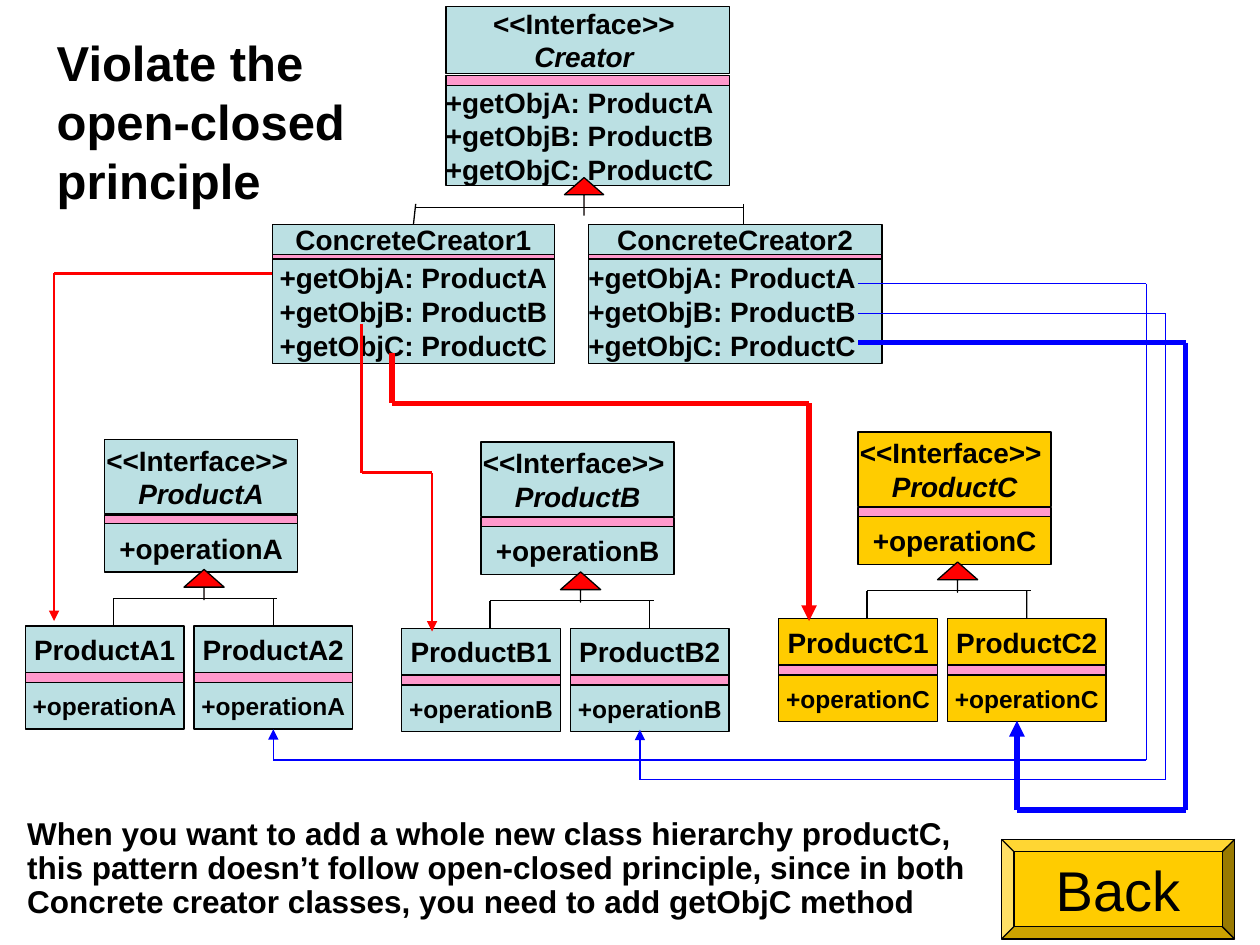
"""Build the slide on how a factory hierarchy violates the open-closed principle."""
import pptx
import pptx.util
import pptx.dml.color
import pptx.enum.shapes
import pptx.enum.text
import pptx.oxml
import pptx.oxml.ns

Cm, Pt = pptx.util.Cm, pptx.util.Pt
SHAPE = pptx.enum.shapes.MSO_SHAPE
ALIGN = pptx.enum.text.PP_ALIGN
ANCHOR = pptx.enum.text.MSO_ANCHOR
COLORS = {
    name: pptx.dml.color.RGBColor.from_string(value)
    for name, value in {
        "aqua": "BBE0E3", "gold": "FFCC00", "pink": "FF99CC",
        "red": "FF0000", "blue": "0000FF", "black": "000000",
    }.items()
}

deck = pptx.Presentation()
deck.slide_width, deck.slide_height = Cm(25.4), Cm(19.05)
slide = deck.slides.add_slide(deck.slide_layouts[5])


def add_box(kind, x, y, w, h, fill, lines=(), size=16, align=ALIGN.CENTER, bold=True):
    """Add a filled, outlined shape with optional lines of text."""
    box = slide.shapes.add_shape(kind, Cm(x), Cm(y), Cm(w), Cm(h))
    box.shadow.inherit = False
    box.fill.solid()
    box.fill.fore_color.rgb = COLORS[fill]
    box.line.color.rgb = COLORS["black"]
    box.line.width = Pt(0.75)
    if lines:
        frame = box.text_frame
        frame.text = "\n".join(lines)
        frame.word_wrap = False
        frame.vertical_anchor = ANCHOR.MIDDLE
        frame.margin_left = frame.margin_right = frame.margin_top = frame.margin_bottom = 0
        for paragraph in frame.paragraphs:
            paragraph.alignment = align
            for run in paragraph.runs:
                run.font.name, run.font.size, run.font.bold = "Arial", Pt(size), bold
                run.font.color.rgb = COLORS["black"]
    return box


def add_route(points, color="black", width=0.75, arrow=False, end=None):
    """Draw straight segments through the points, optionally joined to a shape side."""
    for (x1, y1), (x2, y2) in zip(points, points[1:]):
        segment = slide.shapes.add_connector(
            pptx.enum.shapes.MSO_CONNECTOR.STRAIGHT, Cm(x1), Cm(y1), Cm(x2), Cm(y2))
        segment.line.color.rgb = COLORS[color]
        segment.line.width = Pt(width)
        properties = segment._element.spPr
        properties.append(pptx.oxml.parse_xml(
            f"<a:effectLst {pptx.oxml.ns.nsdecls('a')}/>"))
    if arrow:
        segment.line._get_or_add_ln().append(pptx.oxml.parse_xml(
            f"<a:tailEnd {pptx.oxml.ns.nsdecls('a')} type='triangle'/>"))
    if end:
        segment.end_connect(*end)


title = slide.shapes.title
title.left, title.top, title.width, title.height = Cm(0.89), Cm(0.53), Cm(6.4), Cm(3.81)
title.text_frame.text = "Violate the open-closed principle"
title.text_frame.word_wrap = True
title.text_frame.vertical_anchor = ANCHOR.TOP
heading = title.text_frame.paragraphs[0]
heading.alignment = ALIGN.LEFT
heading_font = heading.runs[0].font
heading_font.name, heading_font.size, heading_font.bold = "Arial", Pt(28), True
heading_font.color.rgb = COLORS["black"]

getters = [f"+getObj{letter}: Product{letter}" for letter in "ABC"]
creator_rows = [(0.13, 1.35), (1.52, 0.2), (1.73, 2.01)]
concrete_rows = [(4.52, 0.61), (5.13, 0.2), (5.22, 2.11)]
classes = [
    (8.99, 5.72, "aqua", creator_rows, ["<<Interface>> ", "Creator "], getters, 16, ALIGN.LEFT),
    (5.49, 5.69, "aqua", concrete_rows, ["ConcreteCreator1"], getters, 16, ALIGN.CENTER),
    (11.86, 5.92, "aqua", concrete_rows, ["ConcreteCreator2"], getters, 16, ALIGN.LEFT),
]
families = [("A", 0.51, 8.86, "aqua"), ("B", 8.1, 8.91, "aqua"), ("C", 15.7, 8.71, "gold")]
for letter, x, y, fill in families:
    product, operation = f"Product{letter}", [f"+operation{letter}"]
    interface_rows = [(y, 1.5), (y + 1.52, 0.2), (y + 1.7, 0.97)]
    child_rows = [(y + 3.76, 0.94), (y + 4.7, 0.2), (y + 4.9, 0.94)]
    classes.append((x + 1.6, 3.89, fill, interface_rows, ["<<Interface>> ", product],
                    operation, 16, ALIGN.CENTER))
    for number in (1, 2):
        classes.append((x + 3.4 * (number - 1), 3.2, fill, child_rows, [f"{product}{number}"],
                        operation, 14, ALIGN.CENTER))

heads, bodies = {}, {}
for x, w, fill, rows, names, methods, size, align in classes:
    head_row, strip_row, body_row = [(x, top, w, height) for top, height in rows]
    head = add_box(SHAPE.RECTANGLE, *head_row, fill, names)
    if len(names) > 1:
        head.text_frame.paragraphs[1].runs[0].font.italic = True
    add_box(SHAPE.RECTANGLE, *strip_row, "pink")
    heads[names[-1]] = head
    bodies[names[-1]] = add_box(SHAPE.RECTANGLE, *body_row, fill, methods, size, align)

add_route([(8.38, 4.19), (14.99, 4.19)])
add_route([(8.38, 4.11), (8.38, 4.52)], end=(heads["ConcreteCreator1"], 0))
add_route([(14.99, 4.11), (14.99, 4.52)])
triangles = [(11.38, 3.58, 0.79, 0.76, 0.454)]
for letter, x, y, fill in families:
    bar = y + 3.2
    add_route([(x + 1.78, bar), (x + 5.08, bar)])
    add_route([(x + 1.78, bar), (x + 1.78, y + 3.76)])
    add_route([(x + 5, bar), (x + 5, y + 3.76)], end=(heads[f"Product{letter}2"], 0))
    triangles.append((x + 3.2, y + 2.62, 0.81, 0.61, 0.586))
for x, y, w, h, head_length in triangles:
    triangle = add_box(SHAPE.UP_ARROW, x, y, w, h, "red")
    triangle.adjustments[0], triangle.adjustments[1] = 0, head_length

creation_routes = [
    ("red", 1.5, [(5.49, 5.51), (1.09, 5.51), (1.09, 12.52)], None),
    ("red", 1.5, [(7.29, 6.53), (7.29, 9.53), (8.71, 9.53), (8.71, 12.73)], None),
    ("red", 3, [(7.9, 7.11), (7.9, 8.13), (16.31, 8.13), (16.31, 12.52)], None),
    ("blue", 0.75, [(17.3, 5.72), (23.11, 5.72), (23.11, 15.32), (5.51, 15.32), (5.51, 14.7)],
     (bodies["ProductA2"], 2)),
    ("blue", 0.75, [(17.3, 6.32), (23.5, 6.32), (23.5, 15.72), (12.9, 15.72), (12.9, 14.71)], None),
    ("blue", 3, [(17.3, 6.91), (23.9, 6.91), (23.9, 16.33), (20.5, 16.33), (20.5, 14.53)], None),
]
for color, width, points, end in creation_routes:
    add_route(points, color, width, arrow=True, end=end)

remark = slide.shapes.add_textbox(Cm(0.3), Cm(16.38), Cm(20.4), Cm(2.31)).text_frame
remark.word_wrap = True
remark.text = (
    "When you want to add a whole new class hierarchy productC, this pattern doesn’t "
    "follow open-closed principle, since in both\n"
    "Concrete creator classes, you need to add getObjC method")
for paragraph in remark.paragraphs:
    paragraph.line_spacing = 0.9
    run_font = paragraph.runs[0].font
    run_font.name, run_font.size, run_font.bold = "Arial", Pt(18), True
    run_font.color.rgb = COLORS["black"]

add_box(SHAPE.BEVEL, 20.19, 16.92, 4.7, 2.01, "gold", ["Back"], 32, bold=False)
deck.save("out.pptx")
